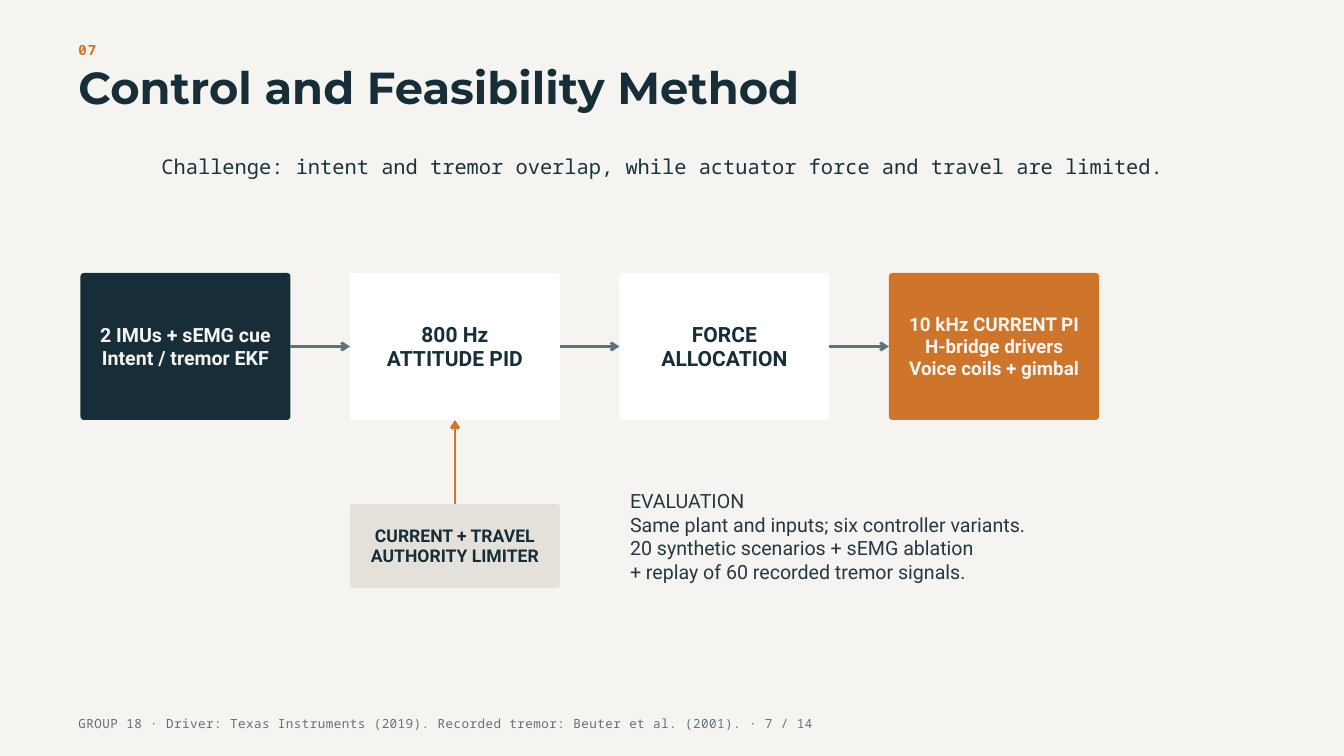
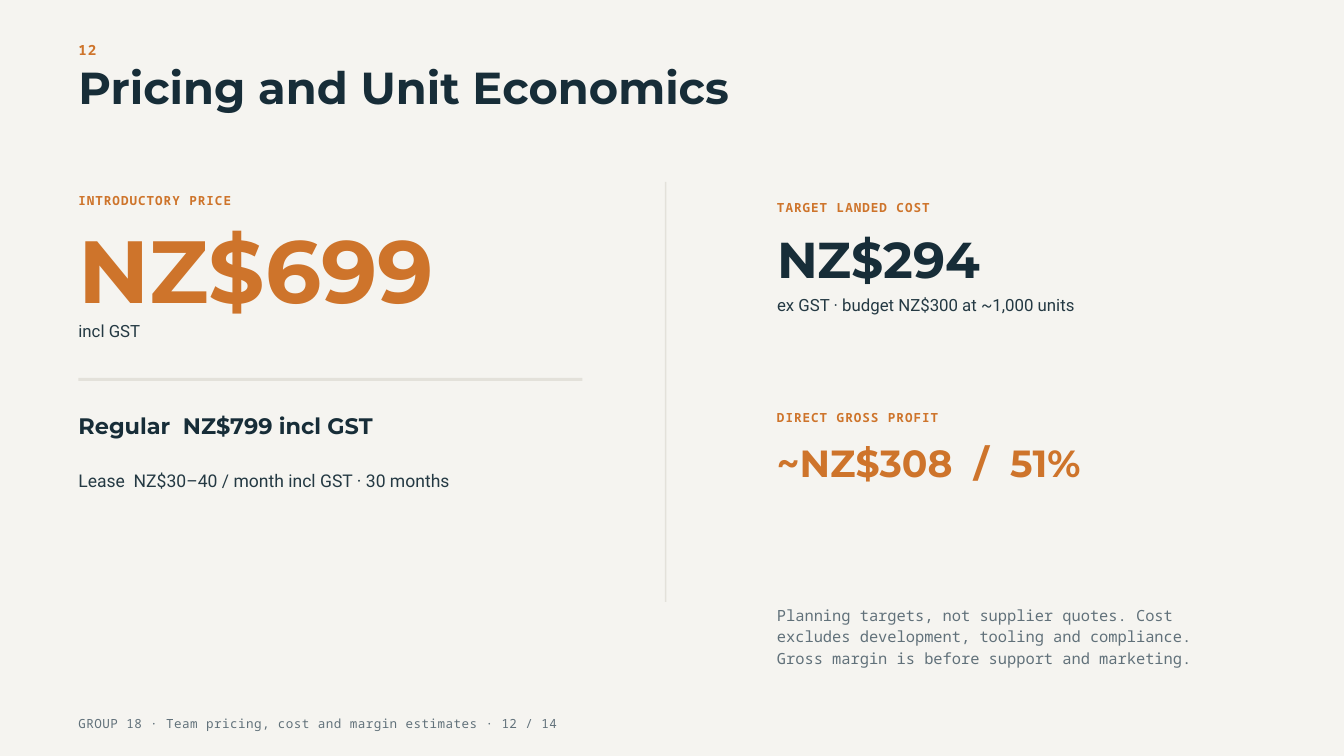
from lxml import etree
from pptx import Presentation
from pptx.dml.color import RGBColor
from pptx.enum.shapes import MSO_CONNECTOR, MSO_SHAPE
from pptx.enum.text import MSO_ANCHOR, PP_ALIGN
from pptx.oxml.ns import qn
from pptx.util import Inches, Pt

STRAIGHT = MSO_CONNECTOR.STRAIGHT
RECTANGLE, ROUNDED = MSO_SHAPE.RECTANGLE, MSO_SHAPE.ROUNDED_RECTANGLE
TOP, MIDDLE = MSO_ANCHOR.TOP, MSO_ANCHOR.MIDDLE
LEFT, CENTER = PP_ALIGN.LEFT, PP_ALIGN.CENTER
TOP_SITE, LEFT_SITE, BOTTOM_SITE, RIGHT_SITE = range(4)

PAPER = RGBColor(0xF5, 0xF4, 0xF0)
WHITE = RGBColor(0xFF, 0xFF, 0xFF)
NAVY = RGBColor(0x17, 0x2D, 0x38)
INK = RGBColor(0x24, 0x39, 0x43)
LEAD_INK = RGBColor(0x19, 0x32, 0x3D)
SLATE = RGBColor(0x61, 0x71, 0x7A)
ORANGE = RGBColor(0xCE, 0x74, 0x2B)
STONE = RGBColor(0xE3, 0xE1, 0xDA)

HEADING, BODY, MONO = "Montserrat", "Roboto", "Noto Sans Mono"

COLUMNS, ROWS = 192, 108
WIDTH, HEIGHT = Inches(20), Inches(11.25)
MARGIN = 11.2
SLIDE_COUNT = 14
CORNER = 0.5
BOX_PADDING = Inches(0.06)


def style(name, size, color, leading, bold=False, tracking=0):
    """Text format; leading is in points, tracking in hundredths of a point."""
    font = {"name": name, "size": Pt(size), "bold": bold}
    return {"font": font, "color": color, "leading": Pt(leading), "tracking": tracking}


def box_style(size, color, leading):
    return style(BODY, size, color, leading, bold=True)


NUMBER = style(MONO, 15, ORANGE, 21, True, 120)
TITLE = style(HEADING, 48, NAVY, 47, True)
FOOTER = style(MONO, 13.5, SLATE, 18.9, tracking=50)
CHALLENGE = style(MONO, 21.8, LEAD_INK, 30.4)
EVALUATION = style(BODY, 21, INK, 25.2)
LABEL = style(MONO, 13.5, ORANGE, 18.9, True, 110)
PRICE = style(HEADING, 94.5, ORANGE, 92.6, True)
COST = style(HEADING, 54, NAVY, 52.9, True)
PROFIT = style(HEADING, 40.5, ORANGE, 39.7, True)
REGULAR = style(HEADING, 24, NAVY, 23.5, True)
DETAIL = style(BODY, 18, INK, 24.3)
LEASE = style(BODY, 18.8, INK, 25.3)
CAVEAT = style(MONO, 16.5, SLATE, 23.1)


class Deck:
    def __init__(self):
        self.file = Presentation()
        self.file.slide_width, self.file.slide_height = WIDTH, HEIGHT
        self.page = None

    def area(self, left, top, width, height):
        """Turn grid columns and rows into slide lengths."""
        column, row = WIDTH / COLUMNS, HEIGHT / ROWS
        return [round(length) for length in
                (left * column, top * row, width * column, height * row)]

    def new_page(self, number, title, source):
        self.page = self.file.slides.add_slide(self.file.slide_layouts[6])
        background = self.page.background.fill
        background.solid()
        background.fore_color.rgb = PAPER
        self.text(f"{number:02}", NUMBER, MARGIN, 5.6, 9, 2.6)
        self.text(title, TITLE, MARGIN, 10, 135, 6.8)
        self.text(f"GROUP 18 · {source} · {number} / {SLIDE_COUNT}",
                  FOOTER, MARGIN, 101.9, 169.6, 2.4)

    def fill_frame(self, frame, words, look, align, anchor, padding):
        """Fill a text frame, one paragraph for each line of words."""
        layout = {"word_wrap": True, "vertical_anchor": anchor,
                  "margin_left": padding, "margin_right": padding,
                  "margin_top": padding, "margin_bottom": padding}
        for key, value in layout.items():
            setattr(frame, key, value)
        for index, line in enumerate(words.split("\n")):
            para = frame.add_paragraph() if index else frame.paragraphs[0]
            para.alignment, para.line_spacing = align, look["leading"]
            span = para.add_run()
            span.text = line
            for key, value in look["font"].items():
                setattr(span.font, key, value)
            span.font.color.rgb = look["color"]
            if look["tracking"]:
                span._r.get_or_add_rPr().set("spc", str(look["tracking"]))

    def text(self, words, look, left, top, width, height, align=LEFT):
        box = self.page.shapes.add_textbox(*self.area(left, top, width, height))
        self.fill_frame(box.text_frame, words, look, align, TOP, 0)

    def shape(self, kind, fill, left, top, width, height):
        shape = self.page.shapes.add_shape(kind, *self.area(left, top, width, height))
        shape.shadow.inherit = False
        shape.fill.solid()
        shape.fill.fore_color.rgb = fill
        shape.line.fill.background()
        return shape

    def rule(self, left, top, width, height):
        self.shape(RECTANGLE, STONE, left, top, width, height)

    def block(self, words, look, fill, left, top, width, height):
        box = self.shape(ROUNDED, fill, left, top, width, height)
        box.adjustments[0] = CORNER / min(width, height)
        self.fill_frame(box.text_frame, words, look, CENTER, MIDDLE, BOX_PADDING)
        return box

    def arrow(self, start, start_site, end, end_site, color):
        arrow = self.page.shapes.add_connector(STRAIGHT, 0, 0, 0, 0)
        arrow.begin_connect(start, start_site)
        arrow.end_connect(end, end_site)
        arrow.line.color.rgb, arrow.line.width = color, Pt(3)
        etree.SubElement(arrow.line._get_or_add_ln(), qn("a:tailEnd"), type="arrow")
        etree.SubElement(arrow._element.spPr, qn("a:effectLst"))


def control_page(deck):
    deck.new_page(7, "Control and Feasibility Method",
                  "Driver: Texas Instruments (2019). Recorded tremor: Beuter et al. (2001).")
    deck.text("Challenge: intent and tremor overlap, while actuator force and travel are limited.",
              CHALLENGE, MARGIN, 21.5, 167, 4, CENTER)

    first, pitch, width = 11.5, 38.5, 30
    stages = [
        ("2 IMUs + sEMG cue\nIntent / tremor EKF", box_style(21, PAPER, 24.1), NAVY),
        ("800 Hz\nATTITUDE PID", box_style(22.5, NAVY, 25.9), WHITE),
        ("FORCE\nALLOCATION", box_style(22.5, NAVY, 25.9), WHITE),
        ("10 kHz CURRENT PI\nH-bridge drivers\nVoice coils + gimbal",
         box_style(20.2, PAPER, 23.3), ORANGE),
    ]
    boxes = [deck.block(*stage, first + index * pitch, 39, width, 21)
             for index, stage in enumerate(stages)]
    for start, end in zip(boxes, boxes[1:]):
        deck.arrow(start, RIGHT_SITE, end, LEFT_SITE, SLATE)

    limiter = deck.block("CURRENT + TRAVEL\nAUTHORITY LIMITER", box_style(18.8, NAVY, 21.6),
                         STONE, first + pitch, 72, width, 12)
    deck.arrow(limiter, TOP_SITE, boxes[1], BOTTOM_SITE, ORANGE)
    deck.text("EVALUATION\nSame plant and inputs; six controller variants.\n"
              "20 synthetic scenarios + sEMG ablation\n"
              "+ replay of 60 recorded tremor signals.",
              EVALUATION, 90, 69.9, 90, 13.3)


def pricing_page(deck):
    deck.new_page(12, "Pricing and Unit Economics", "Team pricing, cost and margin estimates")
    deck.rule(MARGIN, 54, 72, 0.4)
    deck.rule(95, 26, 0.2, 60)

    right = 111
    entries = [
        ("INTRODUCTORY PRICE", LABEL, MARGIN, 27.2, 65, 2.4),
        ("NZ$699", PRICE, MARGIN, 33.6, 80, 13),
        ("incl GST", DETAIL, MARGIN, 45.5, 30, 3.2),
        ("Regular  NZ$799 incl GST", REGULAR, MARGIN, 59.6, 70, 3.2),
        ("Lease  NZ$30–40 / month incl GST · 30 months", LEASE, MARGIN, 66.7, 78, 3.3),
        ("TARGET LANDED COST", LABEL, right, 28.2, 59, 2.4),
        ("NZ$294", COST, right, 34.2, 60, 7.4),
        ("ex GST · budget NZ$300 at ~1,000 units", DETAIL, right, 41.7, 63, 3.2),
        ("DIRECT GROSS PROFIT", LABEL, right, 58.2, 59, 2.4),
        ("~NZ$308  /  51%", PROFIT, right, 64, 65, 5.4),
        ("Planning targets, not supplier quotes. Cost excludes development, tooling and "
         "compliance. Gross margin is before support and marketing.",
         CAVEAT, right, 86.1, 65, 8.9),
    ]
    for entry in entries:
        deck.text(*entry)


def main():
    deck = Deck()
    control_page(deck)
    pricing_page(deck)
    deck.file.save("out.pptx")


if __name__ == "__main__":
    main()
